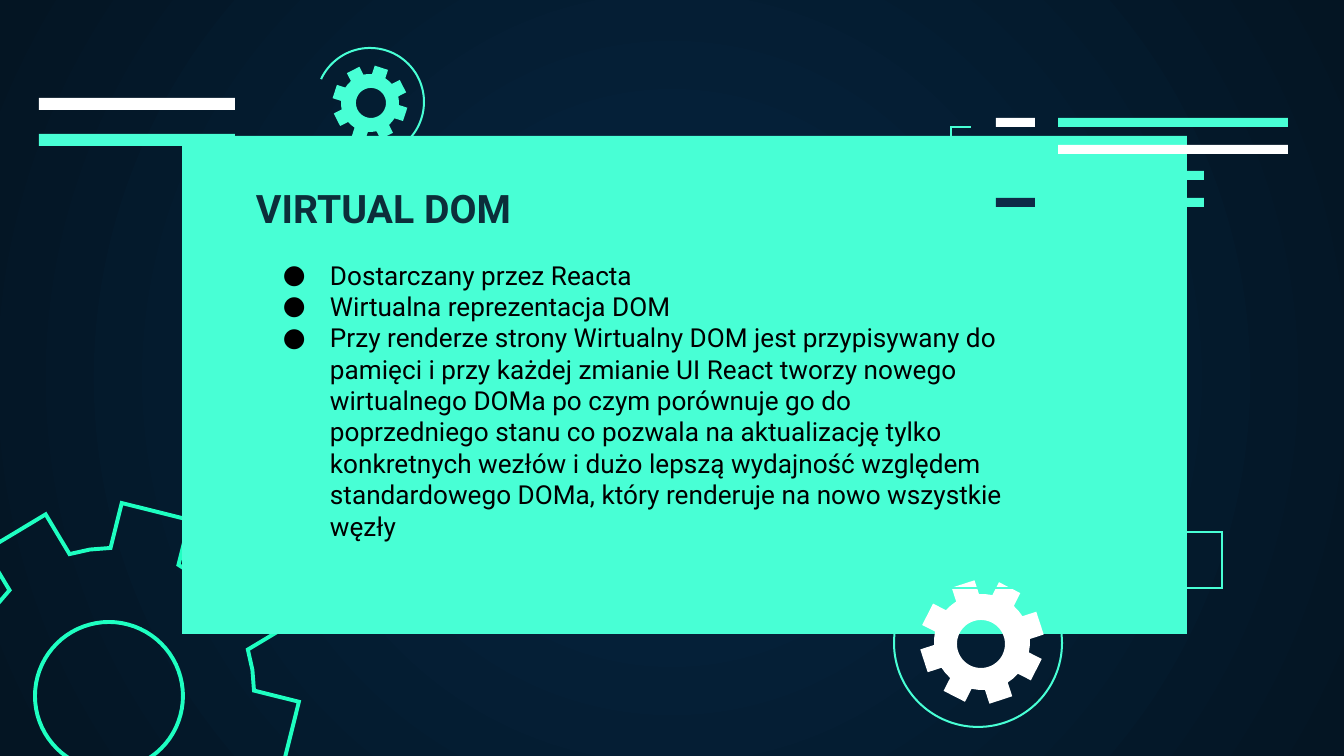
from math import cos, radians, sin, sqrt

from lxml import etree
from pptx import Presentation
from pptx.dml.color import RGBColor
from pptx.enum.shapes import MSO_SHAPE
from pptx.oxml.ns import qn
from pptx.util import Pt

RECTANGLE = MSO_SHAPE.RECTANGLE
PX = 914400 / 134.4

THEME = {
    "mint": "48FFD5", "green": "1EFFC1", "white": "FFFFFF", "navy": "0E2A47",
    "glow": "052643", "edge": "041523", "heading": "0C2E3A", "body": "000000",
    "font": "Roboto", "heading_size": 21, "body_size": 14,
    "thin": 1.09, "thick": 2.1,
}
MINT, WHITE, THIN = THEME["mint"], THEME["white"], THEME["thin"]


def emu(px):
    return round(px * PX)


prs = Presentation()
prs.slide_width, prs.slide_height = emu(1344), emu(756)
slide = prs.slides.add_slide(prs.slide_layouts[6])


def draw(figure, fill=None, line=None, weight=THIN, closed=True):
    """Draw a (left, top, width, height) box or a list of outlines made of points."""
    if isinstance(figure, tuple):
        shape = slide.shapes.add_shape(RECTANGLE, *map(emu, figure))
    else:
        outlines = [[(emu(x), emu(y)) for x, y in points] for points in figure]
        builder = slide.shapes.build_freeform(*outlines[0][0])
        builder.add_line_segments(outlines[0][1:], close=closed)
        for points in outlines[1:]:
            builder.move_to(*points[0])
            builder.add_line_segments(points[1:], close=closed)
        shape = builder.convert_to_shape()
    shape.shadow.inherit = False
    if fill:
        shape.fill.solid()
        shape.fill.fore_color.rgb = RGBColor.from_string(fill)
    else:
        shape.fill.background()
    if line:
        shape.line.color.rgb = RGBColor.from_string(line)
        shape.line.width = Pt(weight)
        etree.SubElement(shape.line.color and shape.element.spPr.find(qn("a:ln")),
                         qn("a:miter"), lim="800000")
    else:
        shape.line.fill.background()


def write(box, paragraphs, size, color, bold=False, bullet=None):
    frame = slide.shapes.add_textbox(*map(emu, box)).text_frame
    frame.word_wrap = True
    frame.margin_left = frame.margin_right = emu(13)
    frame.margin_top = frame.margin_bottom = emu(13)
    frame.text = "\n".join(paragraphs)
    for paragraph in frame.paragraphs:
        font = paragraph.runs[0].font
        font.name, font.size, font.bold = THEME["font"], Pt(size), bold
        font.color.rgb = RGBColor.from_string(color)
        if bullet:
            props = paragraph._p.get_or_add_pPr()
            props.set("marL", str(emu(67)))
            props.set("indent", str(emu(-47)))
            bullet_color = etree.SubElement(props, qn("a:buClr"))
            etree.SubElement(bullet_color, qn("a:srgbClr"), val=color)
            etree.SubElement(props, qn("a:buFont"), typeface=THEME["font"])
            etree.SubElement(props, qn("a:buChar"), char=bullet)


# Background: radial glow from the centre
background = slide.background.fill
background.gradient()
for stop, color in zip(background.gradient_stops, (THEME["glow"], THEME["edge"])):
    stop.color.rgb = RGBColor.from_string(color)
gradient = slide.element.find(".//" + qn("a:gradFill"))
gradient.remove(gradient.find(qn("a:lin")))
glow = etree.SubElement(gradient, qn("a:path"), path="circle")
etree.SubElement(glow, qn("a:fillToRect"), l="50000", t="50000", r="50000", b="50000")

# Gears: centre, tooth tip, half tooth width, root radius, turn, hole centre, hole radius
gears = []
for (cx, cy), tip, half, root, turn, (hx, hy), hole in (
    ((111, 691), 185, 35, 143, 14, (109, 696), 74),
    ((370, 103), 37, 7, 29, 18, (371, 103), 15),
    ((982, 642), 61, 12, 48, 27, (981, 644), 24),
):
    base = sqrt(root ** 2 - half ** 2)
    rim = []
    for tooth in range(8):
        angle = radians(turn + 45 * tooth)
        for across, out in ((-half, base), (-half, tip), (half, tip), (half, base)):
            rim.append((cx + across * cos(angle) + out * sin(angle),
                        cy + across * sin(angle) - out * cos(angle)))
        valley = angle + radians(22.5)
        rim.append((cx + root * sin(valley), cy - root * cos(valley)))
    bore = [(hx + hole * sin(radians(a)), hy - hole * cos(radians(a)))
            for a in range(0, 360, 5)]
    gears.append([rim, bore])
large_gear, small_gear, white_gear = gears

# Rings around the two small gears, in degrees clockwise from the top
small_ring, white_ring = [
    [[(cx + r * sin(radians(a)), cy - r * cos(radians(a)))
      for a in range(start, end + 1, 3)]]
    for cx, cy, r, start, end in ((370, 102, 54, -65, 186), (978, 643, 84, 75, 323))
]

# Behind the panel
draw(small_ring, line=MINT, closed=False)
draw(large_gear, line=THEME["green"], weight=THEME["thick"])
draw(small_gear, fill=MINT)
for top, color in ((98, WHITE), (134, MINT)):
    draw((39, top, 196, 12), fill=color)

draw((182, 136, 1005, 498), fill=MINT)

# In front of the panel
draw(white_ring, line=MINT, closed=False)
draw(white_gear, fill=WHITE)
draw((938, 532, 284, 56), line=MINT)
for row, (short_color, long_color, length) in enumerate((
    (WHITE, MINT, 230), (MINT, WHITE, 230), (MINT, MINT, 146), (THEME["navy"], MINT, 146),
)):
    top = 118 + round(26.6 * row)
    draw((996, top, 39, 9), fill=short_color)
    draw((1058, top, length, 9), fill=long_color)
draw([[(971, 208), (951, 208), (951, 127), (971, 127)]], line=MINT, closed=False)

write((243, 171, 284, 75), ["VIRTUAL DOM"],
      THEME["heading_size"], THEME["heading"], bold=True)
write((250, 246, 774, 312), [
    "Dostarczany przez Reacta",
    "Wirtualna reprezentacja DOM",
    "Przy renderze strony Wirtualny DOM jest przypisywany do pamięci i przy każdej "
    "zmianie UI React tworzy nowego wirtualnego DOMa po czym porównuje go do "
    "poprzedniego stanu co pozwala na aktualizację tylko konkretnych wezłów i dużo "
    "lepszą wydajność względem standardowego DOMa, który renderuje na nowo wszystkie węzły",
], THEME["body_size"], THEME["body"], bullet="●")

prs.save("out.pptx")
